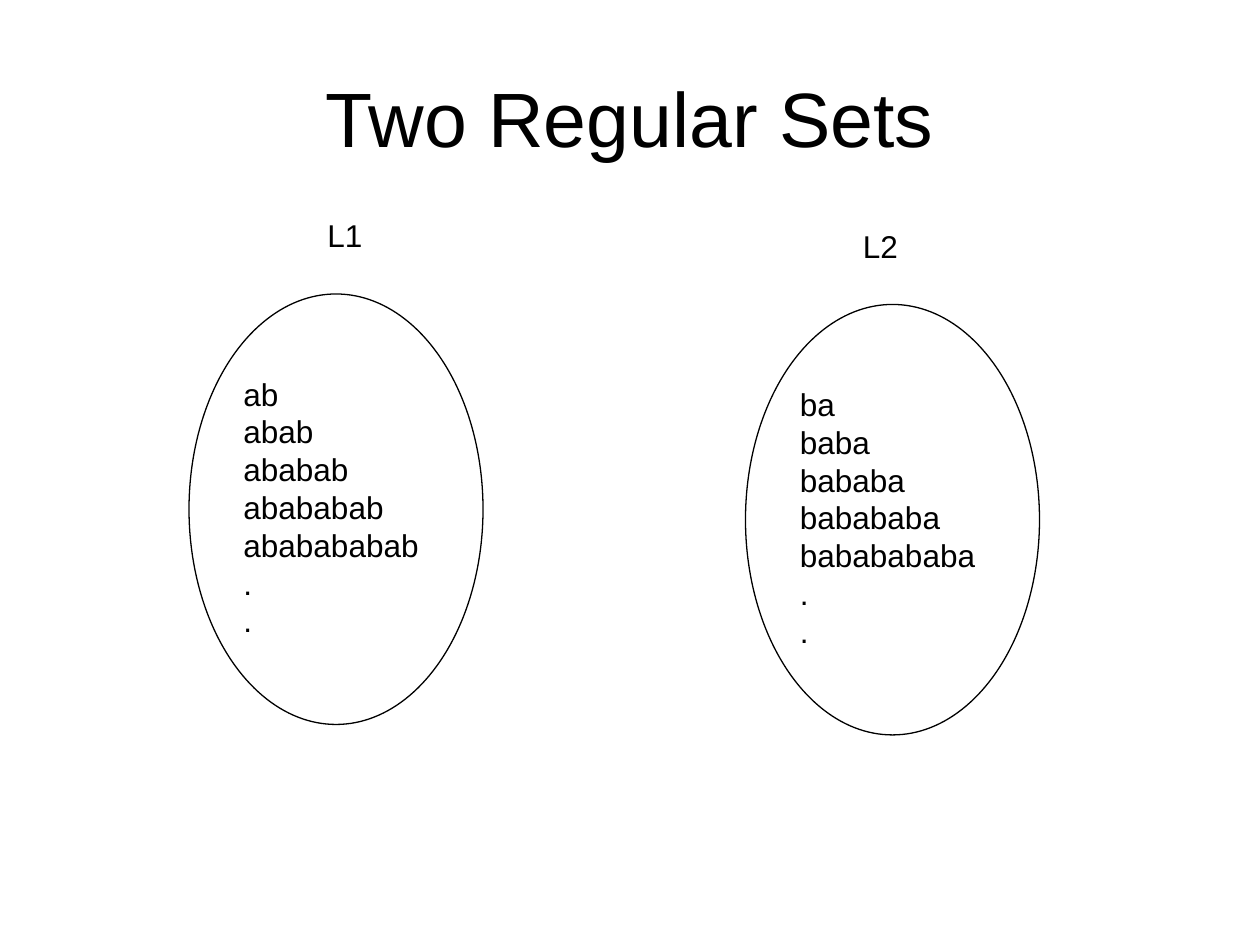
from pptx import Presentation
from pptx.dml.color import RGBColor
from pptx.enum.shapes import MSO_SHAPE
from pptx.enum.text import MSO_ANCHOR, PP_ALIGN
from pptx.util import Pt

COLORS = {"ink": "000000"}
INK = RGBColor.from_string(COLORS["ink"])
TITLE = {
    "frame": {"word_wrap": True, "vertical_anchor": MSO_ANCHOR.MIDDLE},
    "para": {"alignment": PP_ALIGN.CENTER},
    "font": {"name": "Arial", "size": Pt(44)},
}
BODY = {
    "frame": {"word_wrap": False, "vertical_anchor": MSO_ANCHOR.TOP},
    "para": {"alignment": PP_ALIGN.LEFT, "line_spacing": Pt(21.6)},
    "font": {"name": "Arial", "size": Pt(18)},
}


def apply(item, values):
    for key, value in values.items():
        setattr(item, key, value)


def add_text(slide, box, lines, style):
    frame = slide.shapes.add_textbox(*map(Pt, box)).text_frame
    apply(frame, style["frame"])
    frame.text = "\n".join(lines)
    for para in frame.paragraphs:
        apply(para, style["para"])
        apply(para.font, style["font"])
        para.font.color.rgb = INK


def add_set(slide, box, name, shift, word):
    """Draw an oval of repeated words, its name above, moved right by shift."""
    left, top, width, height = box
    oval = slide.shapes.add_shape(MSO_SHAPE.OVAL, *map(Pt, box))
    oval.shadow.inherit = False
    oval.fill.background()
    oval.line.color.rgb = INK
    oval.line.width = Pt(0.75)
    words = [word * count for count in range(1, 6)] + [".", "."]
    add_text(slide, (left + 24, top + 42.5, width - 53.5, 158.4), words, BODY)
    add_text(slide, (left + shift, top - 48, 34.5, 28.8), [name], BODY)


def main():
    deck = Presentation()
    deck.slide_width, deck.slide_height = Pt(720), Pt(540)
    slide = deck.slides.add_slide(deck.slide_layouts[6])
    add_text(slide, (36, 21.6, 648, 90), ["Two Regular Sets"], TITLE)
    add_set(slide, (108, 168, 168, 246), "L1", 72, "ab")
    add_set(slide, (426, 174, 168, 246), "L2", 60, "ba")
    deck.save("out.pptx")


if __name__ == "__main__":
    main()
